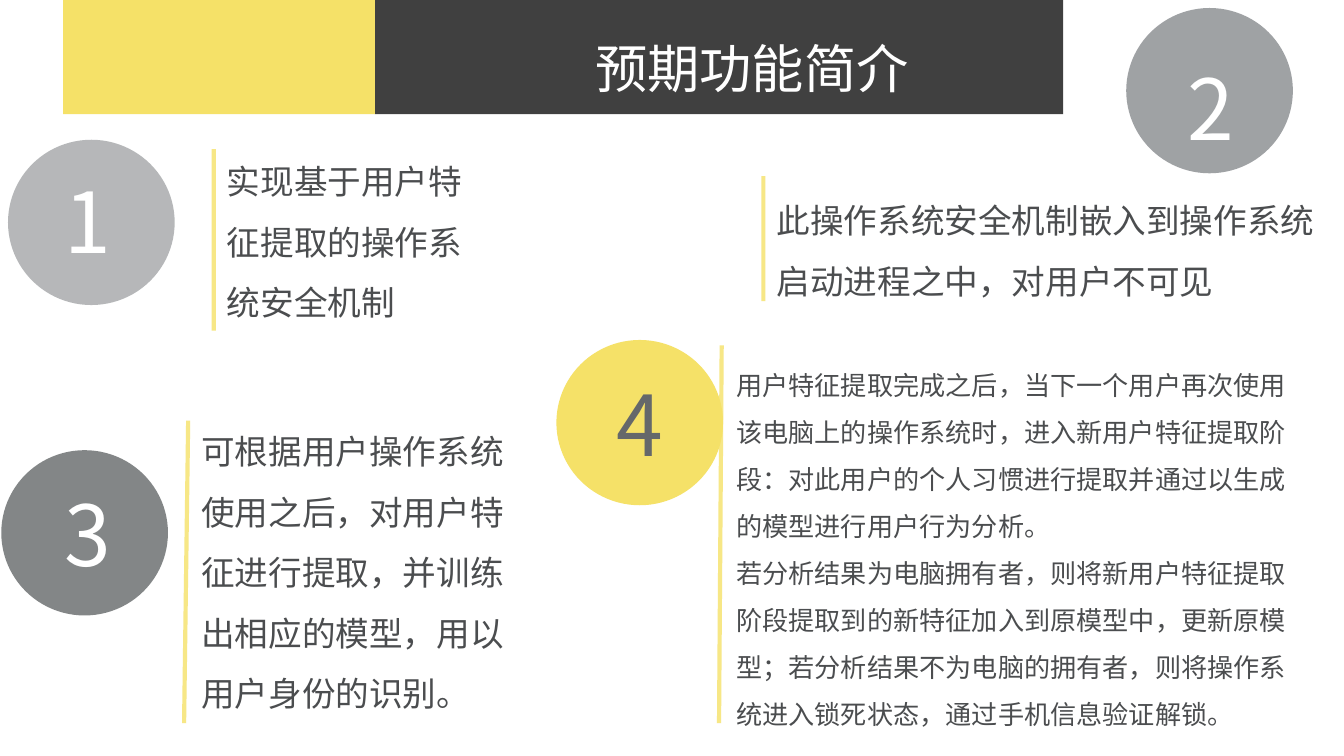
from dataclasses import dataclass

from lxml.etree import SubElement
from pptx import Presentation
from pptx.dml.color import RGBColor
from pptx.enum.shapes import MSO_CONNECTOR, MSO_SHAPE
from pptx.enum.text import MSO_ANCHOR, MSO_AUTO_SIZE, PP_ALIGN
from pptx.oxml.ns import qn
from pptx.util import Inches, Pt


@dataclass(frozen=True)
class Theme:
    yellow: str = "F5E168"
    dark: str = "404040"
    white: str = "FFFFFF"
    ink: str = "4B4D4F"
    slate: str = "65686A"
    grey: str = "888B8E"
    pale: str = "A4A6A8"
    head: int = 28
    digit: int = 45
    body: int = 18
    small: int = 14
    latin: str = "Arial"
    cjk: str = "Noto Sans CJK SC"
    alpha: int = 80


T = Theme()


def fade(fill, alpha):
    """Make a solid fill or line colour partly transparent."""
    color = fill._xPr.find(qn("a:solidFill"))[0]
    SubElement(color, qn("a:alpha"), val=str(alpha * 1000))


def block(slide, kind, box, color, alpha=100):
    shape = slide.shapes.add_shape(kind, *map(Inches, box))
    shape.shadow.inherit = False
    shape.fill.solid()
    shape.fill.fore_color.rgb = RGBColor.from_string(color)
    shape.line.fill.background()
    if alpha < 100:
        fade(shape.fill, alpha)


def write(frame, lines, size, color, face, align=PP_ALIGN.LEFT, gap=None):
    frame.word_wrap = True
    frame.auto_size = MSO_AUTO_SIZE.NONE
    frame.vertical_anchor = MSO_ANCHOR.TOP
    frame.text = "\n".join(lines)
    for para in frame.paragraphs:
        para.alignment = align
        para.line_spacing = gap
        font = para.font
        font.size = Pt(size)
        font.name = face
        font.color.rgb = RGBColor.from_string(color)
        SubElement(font._element, qn("a:ea"), typeface=T.cjk)


def banner(slide, box):
    """Two-tone band with the slide title."""
    x, y, w, h = box
    split = 2.32
    block(slide, MSO_SHAPE.RECTANGLE, (x + split, y, w - split, h), T.dark)
    block(slide, MSO_SHAPE.RECTANGLE, (x, y, split, h), T.yellow)
    title = slide.shapes.title
    title.left, title.top = Inches(x + 3.86), Inches(y + 0.08)
    title.width, title.height = Inches(2.57), Inches(0.71)
    write(title.text_frame, ["预期功能简介"], T.head, T.white, T.cjk, gap=1.3)
    title.text_frame.word_wrap = False
    # Bring the title in front of the band
    slide.shapes._spTree.append(title._element)


def badge(slide, spot, digit, shift, fill, color=T.white, alpha=T.alpha):
    """Numbered circle; shift places the digit within it."""
    x, y = spot
    block(slide, MSO_SHAPE.OVAL, (x, y, 1.24, 1.23), fill, alpha)
    box = (x + shift[0], y + shift[1], 0.98, 0.86)
    text = slide.shapes.add_textbox(*map(Inches, box))
    write(text.text_frame, [digit], T.digit, color, T.cjk, PP_ALIGN.CENTER)


def note(slide, box, lines, bar, size=T.body):
    """Text with a bar at its left; bar is (x1, y1, x2, y2) from the corner."""
    x, y = box[:2]
    ends = (x + bar[0], y + bar[1], x + bar[2], y + bar[3])
    rule = slide.shapes.add_connector(MSO_CONNECTOR.STRAIGHT, *map(Inches, ends))
    rule.line.width = Pt(2.25)
    rule.line.color.rgb = RGBColor.from_string(T.yellow)
    fade(rule.line.fill, T.alpha)
    SubElement(rule._element.spPr, qn("a:effectLst"))
    text = slide.shapes.add_textbox(*map(Inches, box))
    write(text.text_frame, lines, size, T.ink, T.latin, gap=1.5)


def main():
    deck = Presentation()
    # Widescreen, 16 to 9
    deck.slide_width, deck.slide_height = Inches(10), Inches(10 * 9 / 16)
    slide = deck.slides.add_slide(deck.slide_layouts[5])

    banner(slide, (0.47, 0, 7.44, 0.85))

    # Numbered circles
    badge(slide, (0.06, 1.04), "1", (0.1, 0.17), T.pale)
    badge(slide, (8.38, 0.06), "2", (0.14, 0.31), T.grey)
    badge(slide, (0.01, 3.35), "3", (0.15, 0.19), T.slate)
    badge(slide, (4.14, 2.53), "4", (0.13, 0.19), T.yellow, T.slate, 100)

    # Descriptions
    note(slide, (1.59, 1, 2.1, 1.46),
         ["实现基于用户特征提取的操作系统安全机制"], (0, 0.11, 0, 1.46))
    note(slide, (5.68, 1.29, 4.21, 0.96),
         ["此操作系统安全机制嵌入到操作系统启动进程之中，对用户不可见"],
         (0, 0.02, 0, 0.95))
    note(slide, (1.4, 3.01, 2.46, 2.37),
         ["可根据用户操作系统使用之后，对用户特征进行提取，"
          "并训练出相应的模型，用以用户身份的识别。"],
         (0, 0.12, -0.03, 2.37))
    note(slide, (5.38, 2.58, 4.4, 2.89),
         ["用户特征提取完成之后，当下一个用户再次使用该电脑上的操作系统时，"
          "进入新用户特征提取阶段：对此用户的个人习惯进行提取并通过以生成的"
          "模型进行用户行为分析。",
          "若分析结果为电脑拥有者，则将新用户特征提取阶段提取到的新特征加入到"
          "原模型中，更新原模型；若分析结果不为电脑的拥有者，则将操作系统进入"
          "锁死状态，通过手机信息验证解锁。"],
         (-0.01, -0.01, -0.03, 2.8), T.small)

    deck.save("out.pptx")


if __name__ == "__main__":
    main()
